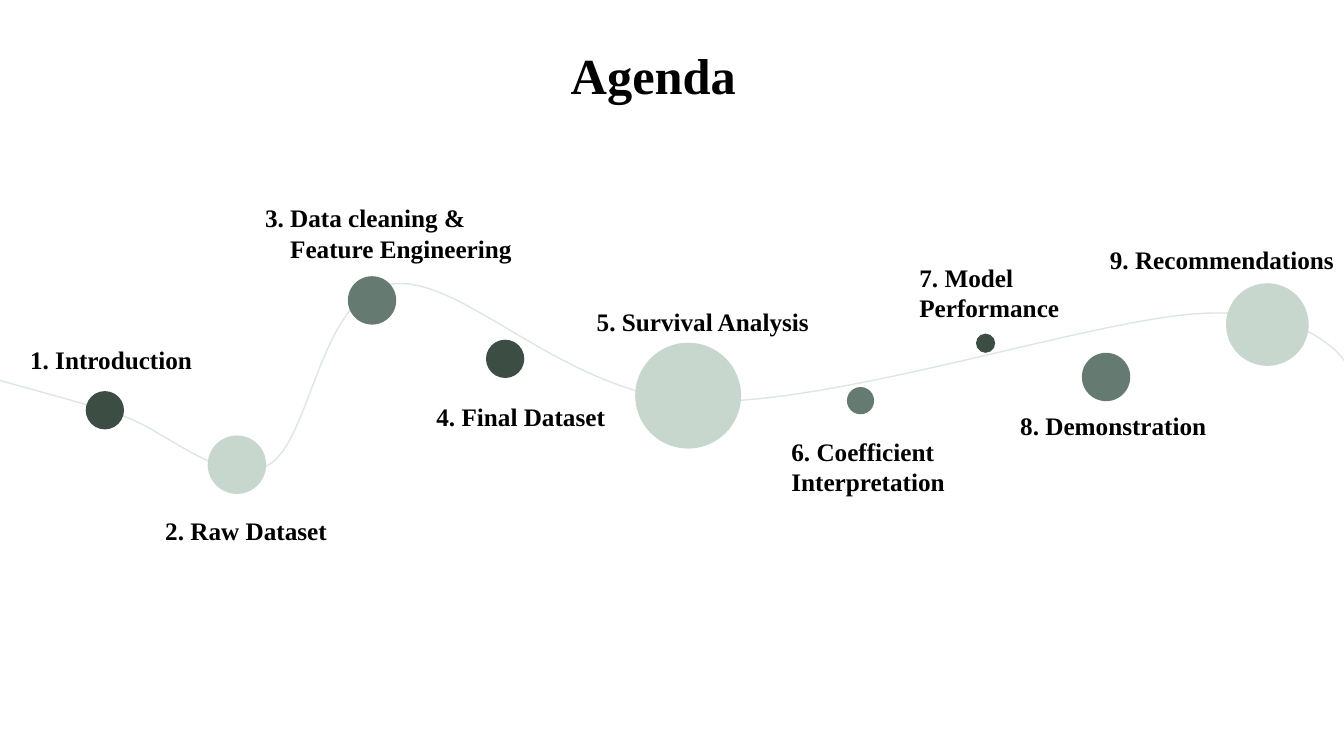
from typing import NamedTuple

from lxml import etree
from pptx import Presentation
from pptx.dml.color import RGBColor
from pptx.enum.shapes import MSO_SHAPE
from pptx.enum.text import MSO_ANCHOR, MSO_AUTO_SIZE, PP_ALIGN
from pptx.oxml.ns import qn
from pptx.util import Inches, Pt

OVAL = MSO_SHAPE.OVAL
LEFT = PP_ALIGN.LEFT
TOP = MSO_ANCHOR.TOP
BOTTOM = MSO_ANCHOR.BOTTOM
NO_AUTOSIZE = MSO_AUTO_SIZE.NONE

BLACK = RGBColor(0x00, 0x00, 0x00)
DARK = RGBColor(0x3C, 0x4E, 0x44)
MEDIUM = RGBColor(0x65, 0x7A, 0x70)
PALE = RGBColor(0xC7, 0xD7, 0xCE)
TRAIL = RGBColor(0xDD, 0xE7, 0xE1)
FONT = "Times New Roman"

Point = tuple[float, float]


class Stop(NamedTuple):
    lines: tuple[str, ...]
    label: tuple[float, float, float, float]
    dot: tuple[float, float, float]
    color: RGBColor


TRAIL_START = (-0.02, 3.77)
TRAIL_CURVES = [
    ((0.37, 3.88), (0.76, 3.98), (1.2, 4.12)),
    ((1.64, 4.26), (2.2, 4.83), (2.65, 4.62)),
    ((3.09, 4.4), (3.16, 2.92), (3.88, 2.82)),
    ((4.59, 2.71), (5.6, 3.94), (6.94, 3.98)),
    ((8.28, 4.03), (10.85, 3.16), (11.92, 3.11)),
    ((12.99, 3.05), (13.38, 3.58), (13.37, 3.66)),
]

STOPS = [
    Stop(("1. Introduction",), (0.2, 3.37, 2.67, 0.4), (0.85, 3.88, 0.38), DARK),
    Stop(("2. Raw Dataset",), (1.54, 5.06, 1.91, 0.4), (2.06, 4.32, 0.58), PALE),
    Stop(("3. Data cleaning &", "Feature Engineering"),
         (2.53, 1.65, 2.68, 1.01), (3.45, 2.74, 0.48), MEDIUM),
    Stop(("4. Final Dataset",), (4.23, 3.62, 2.47, 0.71), (4.82, 3.37, 0.38), DARK),
    Stop(("5. Survival Analysis",), (5.82, 2.68, 2.47, 0.71), (6.3, 3.4, 1.05), PALE),
    Stop(("6. Coefficient Interpretation",),
         (7.75, 3.97, 2.99, 1.01), (8.4, 3.84, 0.27), MEDIUM),
    Stop(("7. Model Performance",), (9.02, 2.24, 2.47, 1.01), (9.68, 3.31, 0.19), DARK),
    Stop(("8. Demonstration",), (10.02, 3.71, 2.22, 0.71), (10.73, 3.5, 0.48), MEDIUM),
    Stop(("9. Recommendations",), (10.91, 2.06, 3.33, 0.71), (12.16, 2.81, 0.82), PALE),
]


def write_text(frame, lines: tuple[str, ...], *, size: float, anchor,
               hanging: float = 0) -> None:
    frame.word_wrap = True
    frame.auto_size = NO_AUTOSIZE
    frame.vertical_anchor = anchor
    for index, line in enumerate(lines):
        paragraph = frame.paragraphs[0] if index == 0 else frame.add_paragraph()
        paragraph.alignment = LEFT
        if index and hanging:
            paragraph._p.get_or_add_pPr().set("marL", str(Inches(hanging)))
        run = paragraph.add_run()
        run.text = line
        run.font.name = FONT
        run.font.size = Pt(size)
        run.font.bold = True
        run.font.color.rgb = BLACK


def add_title(slide) -> None:
    title = slide.shapes.title
    title.left, title.top = Inches(5.56), Inches(0.39)
    title.width, title.height = Inches(2.23), Inches(0.71)
    write_text(title.text_frame, ("Agenda",), size=36, anchor=TOP)


def add_trail(slide, start: Point, curves: list[tuple[Point, Point, Point]]) -> None:
    builder = slide.shapes.build_freeform(*start, scale=Inches(1))
    builder.add_line_segments([curve[-1] for curve in curves], close=False)
    trail = builder.convert_to_shape()
    trail.shadow.inherit = False
    trail.fill.background()
    trail.line.color.rgb = TRAIL
    trail.line.width = Pt(1)

    path_element = next(trail._element.iter(qn("a:path")))
    path_element.set("w", str(trail.width))
    path_element.set("h", str(trail.height))
    move_point = next(path_element.iter(qn("a:pt")))
    move_point.set("x", str(Inches(start[0]) - trail.left))
    move_point.set("y", str(Inches(start[1]) - trail.top))
    for segment, curve in zip(path_element.findall(qn("a:lnTo")), curves):
        bezier = etree.Element(qn("a:cubicBezTo"))
        for x, y in curve:
            etree.SubElement(bezier, qn("a:pt"), x=str(Inches(x) - trail.left),
                             y=str(Inches(y) - trail.top))
        path_element.replace(segment, bezier)


def add_dot(slide, stop: Stop) -> None:
    left, top, diameter = map(Inches, stop.dot)
    dot = slide.shapes.add_shape(OVAL, left, top, diameter, diameter)
    dot.shadow.inherit = False
    dot.fill.solid()
    dot.fill.fore_color.rgb = stop.color
    dot.line.fill.background()


def add_label(slide, stop: Stop) -> None:
    label = slide.shapes.add_textbox(*map(Inches, stop.label))
    write_text(label.text_frame, stop.lines, size=18, anchor=BOTTOM, hanging=0.25)


def main() -> None:
    presentation = Presentation()
    presentation.slide_width = Inches(13.33)
    presentation.slide_height = Inches(7.5)
    slide = presentation.slides.add_slide(presentation.slide_layouts[5])
    add_title(slide)
    add_trail(slide, TRAIL_START, TRAIL_CURVES)
    for stop in STOPS:
        add_dot(slide, stop)
    for stop in STOPS:
        add_label(slide, stop)
    presentation.save("out.pptx")


if __name__ == "__main__":
    main()
